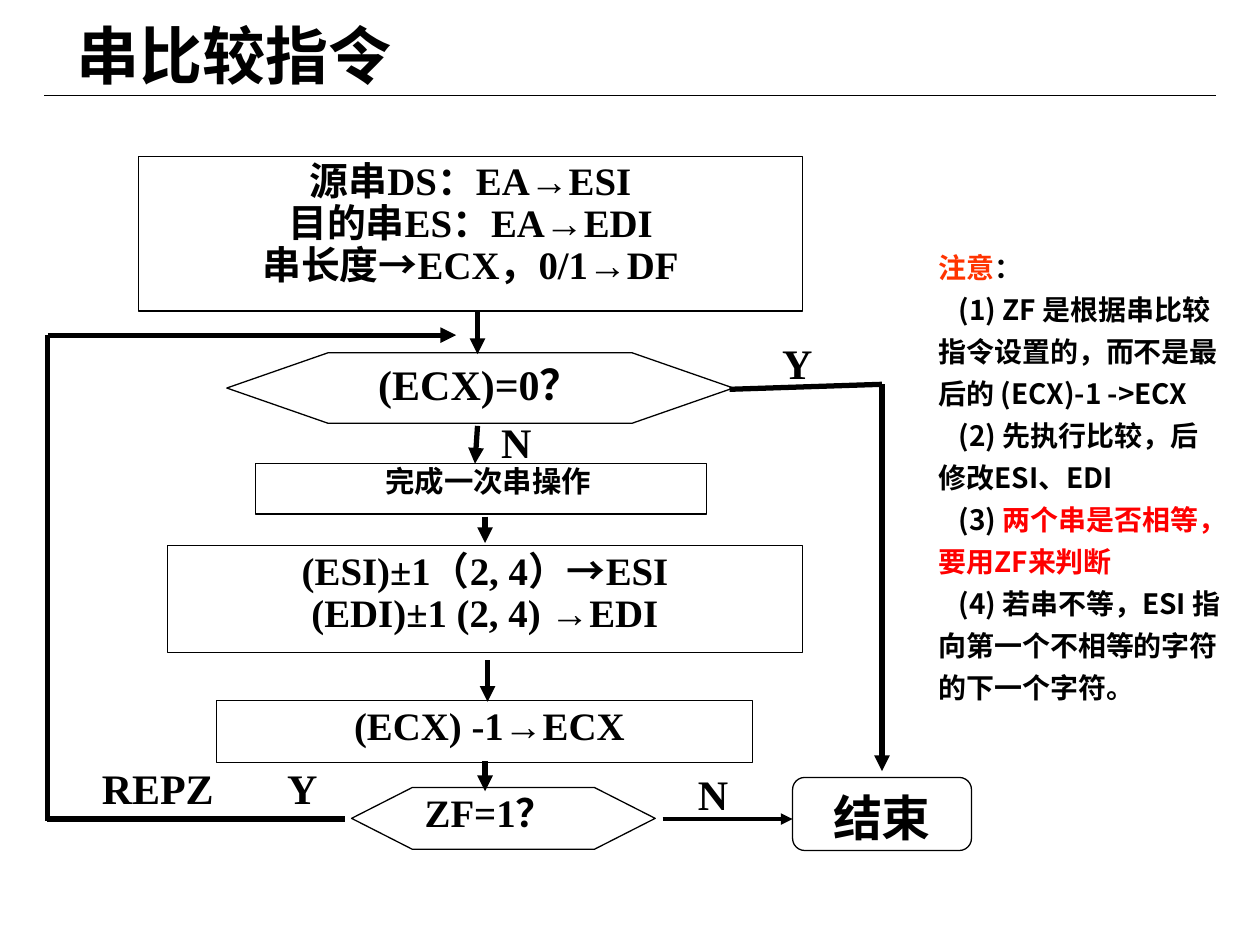
from lxml.etree import SubElement
from pptx import Presentation
from pptx.dml.color import RGBColor
from pptx.enum.shapes import MSO_CONNECTOR, MSO_SHAPE
from pptx.enum.text import MSO_ANCHOR, MSO_AUTO_SIZE, PP_ALIGN
from pptx.oxml.ns import qn
from pptx.util import Inches, Pt

BLACK, ORANGE, RED, WHITE = "000000", "FF3300", "FF0000", "FFFFFF"
SERIF, SANS = "Times New Roman", "Noto Sans CJK SC"
BOX, TEST, END = (MSO_SHAPE.RECTANGLE, MSO_SHAPE.FLOWCHART_PREPARATION,
                  MSO_SHAPE.FLOWCHART_ALTERNATE_PROCESS)

TITLE = "串比较指令"
NOTES = [
    [("注意", ORANGE), ("：", BLACK)],
    [("(1) ZF 是根据串比较指令设置的，而不是最后的 (ECX)-1 ->ECX", BLACK)],
    [("(2) 先执行比较，后修改ESI、EDI", BLACK)],
    [("(3) ", BLACK), ("两个串是否相等，要用ZF来判断", RED)],
    [("(4) 若串不等，ESI 指向第一个不相等的字符的下一个字符。", BLACK)],
]
STEPS = [
    (BOX, (1.1, 1.24, 5.27, 1.23),
     ["源串DS：EA→ESI", "目的串ES：EA→EDI", "串长度→ECX，0/1→DF"], {}),
    (TEST, (1.8, 2.8, 4.02, 0.56), ["(ECX)=0？"], dict(size=24, spacing=1)),
    (BOX, (2.03, 3.68, 3.58, 0.4), ["完成一次串操作"],
     dict(size=16.8, spacing=0.8, margin=0.11)),
    (BOX, (1.33, 4.33, 5.04, 0.85),
     ["(ESI)±1（2, 4）→ESI", "(EDI)±1 (2, 4) →EDI"], {}),
    (BOX, (1.72, 5.56, 4.25, 0.49), ["(ECX) -1→ECX"], dict(margin=0.08)),
    (TEST, (2.79, 6.25, 2.41, 0.49), ["ZF=1？"], dict(align=PP_ALIGN.LEFT)),
    (END, (6.29, 6.17, 1.42, 0.58), ["结束"], dict(size=28, spacing=1)),
]
LABELS = [("REPZ", 0.71, 6), ("Y", 2.18, 6), ("N", 5.44, 6.05),
          ("Y", 6.11, 2.63), ("N", 3.88, 3.26)]
ARROWS = [
    (3.79, 2.47, 3.79, 2.81), (3.79, 3.38, 3.77, 3.68),
    (3.85, 4.1, 3.85, 4.31), (3.87, 5.24, 3.87, 5.57),
    (3.85, 6.04, 3.85, 6.28), (7, 3.05, 7, 6.12), (0.38, 2.66, 3.62, 2.66),
]
LINES = [(5.79, 3.09, 7, 3.05), (0.38, 2.66, 0.38, 6.52), (0.37, 6.5, 2.74, 6.5)]


def rgb(color):
    return RGBColor.from_string(color)


def add_text(p, text, size=22.2, font=SERIF, color=BLACK, align=PP_ALIGN.LEFT,
             spacing=1, margin=0, indent=0):
    p.alignment, p.line_spacing, p.space_before = align, spacing, Pt(0)
    pPr = p._p.get_or_add_pPr()
    pPr.set("marL", str(Inches(margin)))
    pPr.set("indent", str(Inches(indent)))
    if pPr.find(qn("a:buNone")) is None:
        SubElement(pPr, qn("a:buNone"))
    r = p.add_run()
    r.text = text
    r.font.size, r.font.bold, r.font.name = Pt(size), True, font
    r.font.color.rgb = rgb(color)
    SubElement(r._r.get_or_add_rPr(), qn("a:ea")).set("typeface", SANS)


def frame(sp, wrap=True):
    tf = sp.text_frame
    tf.word_wrap, tf.auto_size = wrap, MSO_AUTO_SIZE.NONE
    tf.vertical_anchor = MSO_ANCHOR.TOP
    return tf


def paragraphs(tf, items):
    for i, item in enumerate(items):
        yield (tf.add_paragraph() if i else tf.paragraphs[0]), item


def place(sp, *box):
    sp.left, sp.top, sp.width, sp.height = map(Inches, box)


def add_step(s, kind, box, texts, fmt):
    sp = s.shapes.add_shape(kind, *map(Inches, box))
    sp.shadow.inherit = False
    sp.fill.solid()
    sp.fill.fore_color.rgb = rgb(WHITE)
    sp.line.color.rgb, sp.line.width = rgb(BLACK), Pt(0.75)
    fmt = dict(align=PP_ALIGN.CENTER, spacing=0.9) | fmt
    for p, text in paragraphs(frame(sp), texts):
        add_text(p, text, **fmt)


def add_line(s, ends, width=3, arrow=False):
    c = s.shapes.add_connector(MSO_CONNECTOR.STRAIGHT, *map(Inches, ends))
    c.line.color.rgb, c.line.width = rgb(BLACK), Pt(width)
    if arrow:
        SubElement(c.line._get_or_add_ln(), qn("a:tailEnd")).set("type", "triangle")
    SubElement(c._element.spPr, qn("a:effectLst"))


def main():
    """Build the flowchart slide on string comparison."""
    prs = Presentation()
    prs.slide_width, prs.slide_height = Inches(10), Inches(7.5)
    s = prs.slides.add_slide(prs.slide_layouts[1])
    title, body = s.placeholders

    place(title, 0.51, 0.08, 2.73, 0.7)
    add_text(frame(title, False).paragraphs[0], TITLE, size=36)
    add_line(s, (0.35, 0.76, 9.65, 0.76), width=0.75)

    place(body, 7.35, 1.94, 2.48, 3.7)
    for i, (p, runs) in enumerate(paragraphs(frame(body), NOTES)):
        for text, color in runs:
            add_text(p, text, size=16, font=SANS, color=color,
                     spacing=1.25 if i else 1, indent=0.16 if i else 0)

    for step in STEPS:
        add_step(s, *step)
    for ends in ARROWS:
        add_line(s, ends, arrow=True)
    for ends in LINES:
        add_line(s, ends)
    add_line(s, (5.26, 6.5, 6.29, 6.5), width=2.25, arrow=True)
    for text, x, y in LABELS:
        sp = s.shapes.add_textbox(*map(Inches, (x, y, 0.3 + 0.2 * len(text), 0.5)))
        add_text(frame(sp, False).paragraphs[0], text, size=24)
    prs.save("out.pptx")


if __name__ == "__main__":
    main()
